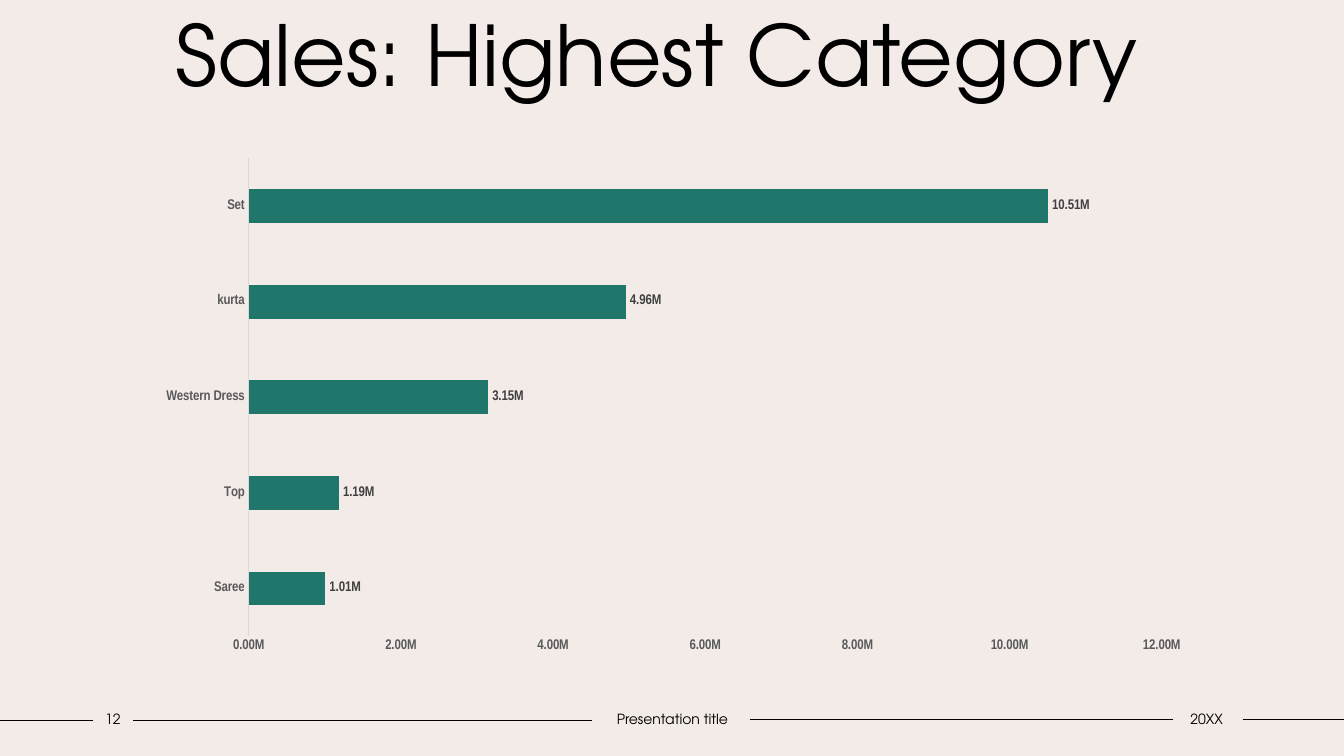
from lxml.etree import SubElement
from pptx import Presentation
from pptx.chart.data import CategoryChartData
from pptx.dml.color import RGBColor
from pptx.enum.chart import XL_CHART_TYPE, XL_LABEL_POSITION, XL_TICK_MARK
from pptx.enum.shapes import MSO_CONNECTOR
from pptx.enum.text import MSO_ANCHOR, PP_ALIGN
from pptx.oxml.ns import qn
from pptx.util import Pt

# Content
TITLE = "Sales: Highest Category "
SALES = [
    ("Saree", 1010000),
    ("Top", 1190000),
    ("Western Dress", 3150000),
    ("kurta", 4960000),
    ("Set", 10510000),
]
MILLIONS = '0.00,,"M"'
# text, left, width
FOOTERS = [
    ("12", 66.24, 28.8),
    ("Presentation title", 422.64, 115.2),
    ("20XX", 836.64, 50.4),
]
# from x, to x, y
RULES = [
    (0, 66.24, 514.8),
    (95.04, 422.64, 514.8),
    (535.68, 838.08, 514.08),
    (887.76, 960, 514.08),
]
COLORS = {
    "background": "F3EBE8",
    "text": "000000",
    "bar": "20766B",
    "axis text": "595959",
    "axis line": "D9D9D9",
    "label": "404040",
}
TEXT_FONT, CHART_FONT = "TeX Gyre Adventor", "Arial Narrow"


def color(name):
    return RGBColor.from_string(COLORS[name])


def style_font(font, name, size, color_name, bold=False):
    font.name, font.size, font.bold = name, Pt(size), bold
    font.color.rgb = color(color_name)


def add_text(page, text, left, top, width, height, size, inset=0):
    box = page.shapes.add_textbox(Pt(left), Pt(top), Pt(width), Pt(height))
    frame = box.text_frame
    frame.word_wrap = True
    frame.vertical_anchor = MSO_ANCHOR.MIDDLE
    frame.margin_left = frame.margin_right = Pt(inset)
    para = frame.paragraphs[0]
    para.alignment = PP_ALIGN.CENTER
    span = para.add_run()
    span.text = text
    style_font(span.font, TEXT_FONT, size, "text")
    return para


def add_rule(page, start, end, y):
    rule = page.shapes.add_connector(
        MSO_CONNECTOR.STRAIGHT, Pt(start), Pt(y), Pt(end), Pt(y))
    rule.line.color.rgb = color("text")
    rule.line.width = Pt(1)
    SubElement(rule._element.spPr, qn("a:effectLst"))


def style_axis(axis):
    axis.has_major_gridlines = False
    axis.major_tick_mark = axis.minor_tick_mark = XL_TICK_MARK.NONE
    style_font(axis.tick_labels.font, CHART_FONT, 10, "axis text", True)


def add_sales_chart(page):
    data = CategoryChartData(number_format=MILLIONS)
    data.categories = [name for name, _ in SALES]
    data.add_series("Series 1", [value for _, value in SALES])
    chart = page.shapes.add_chart(
        XL_CHART_TYPE.BAR_CLUSTERED,
        Pt(103.68), Pt(105.84), Pt(754.56), Pt(367.92), data).chart
    chart.has_title = chart.has_legend = False
    style_font(chart.font, CHART_FONT, 10, "text", True)

    # Axes
    style_axis(chart.category_axis)
    chart.category_axis.format.line.color.rgb = color("axis line")
    chart.category_axis.format.line.width = Pt(0.75)
    style_axis(chart.value_axis)
    chart.value_axis.format.line.fill.background()
    chart.value_axis.tick_labels.number_format = MILLIONS
    chart.value_axis.tick_labels.number_format_is_linked = False

    # Bars and their labels
    plot = chart.plots[0]
    plot.gap_width = 182
    plot.vary_by_categories = False
    bars = plot.series[0]
    bars.format.fill.solid()
    bars.format.fill.fore_color.rgb = color("bar")
    labels = bars.data_labels
    labels.show_value = True
    labels.position = XL_LABEL_POSITION.OUTSIDE_END
    labels.number_format = MILLIONS
    labels.number_format_is_linked = False
    style_font(labels.font, CHART_FONT, 10, "label", True)


def main():
    deck = Presentation()
    deck.slide_width, deck.slide_height = Pt(960), Pt(540)
    page = deck.slides.add_slide(deck.slide_layouts[6])
    page.background.fill.solid()
    page.background.fill.fore_color.rgb = color("background")

    # Footer rules and texts
    for rule in RULES:
        add_rule(page, *rule)
    for text, left, width in FOOTERS:
        add_text(page, text, left, 504, width, 19.44, 10)

    # Title and chart
    title = add_text(page, TITLE, -5.76, 0, 966.24, 76.32, 60, inset=7.2)
    title.space_after = Pt(6)
    add_sales_chart(page)
    deck.save("out.pptx")


if __name__ == "__main__":
    main()
